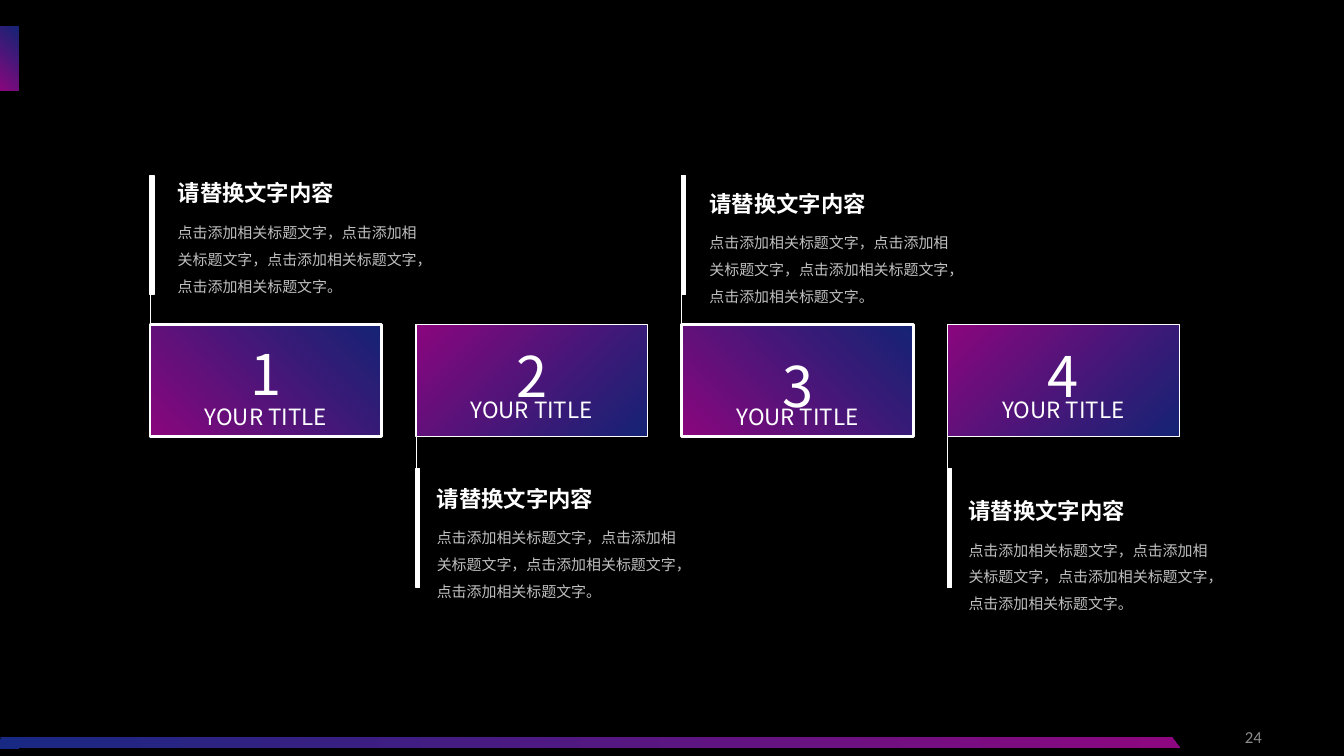
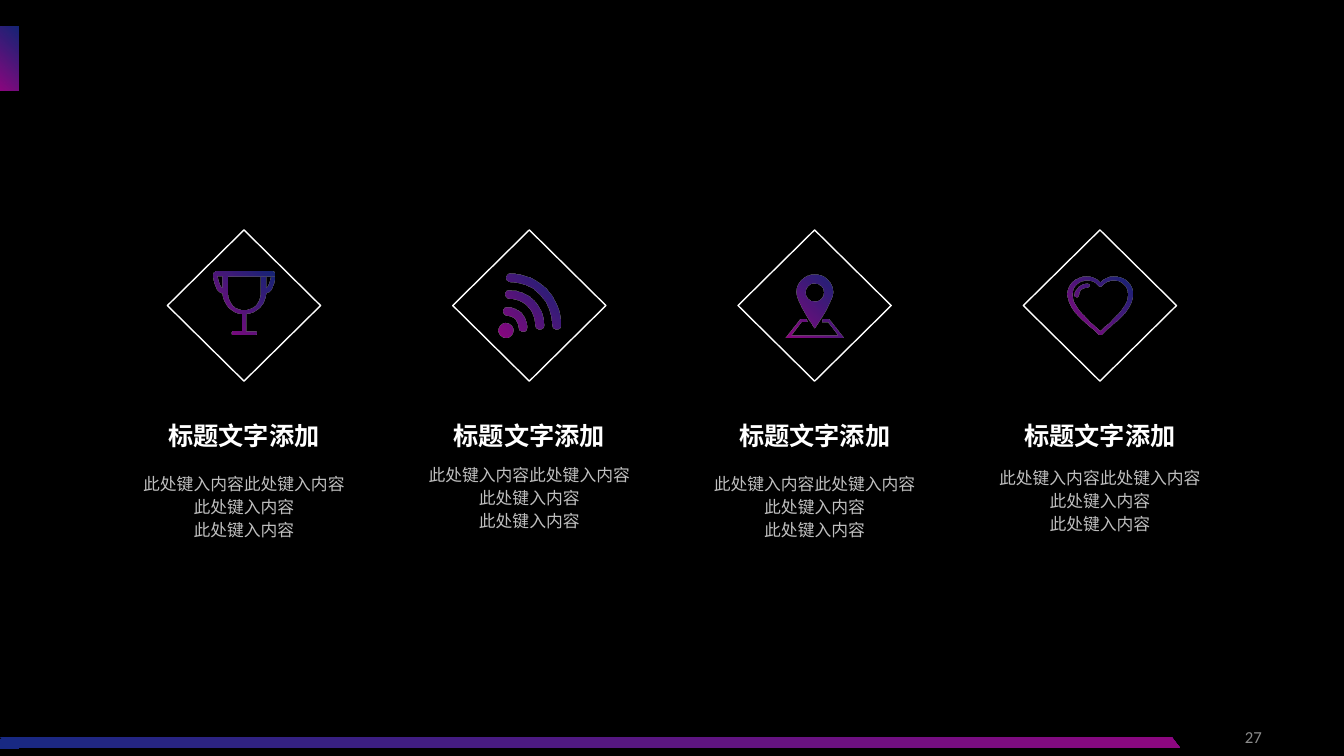
from math import cos, radians, sin

from lxml.etree import SubElement
from pptx import Presentation
from pptx.dml.color import RGBColor
from pptx.enum.shapes import MSO_CONNECTOR as Connector, MSO_SHAPE as Shape
from pptx.enum.text import MSO_ANCHOR as Anchor, PP_ALIGN as Align
from pptx.oxml.ns import qn
from pptx.util import Cm, Pt

BLACK, WHITE, SILVER, GRAY = "000000", "FFFFFF", "BFBFBF", "8C8C8C"
BLUE, MAGENTA = "182983", "8D0780"
CJK_FONT = "Noto Sans CJK SC"
BLUE_TOP_RIGHT, BLUE_BOTTOM_RIGHT = 225, 135  # counter-clockwise degrees

CARD_LEFT, CARD_PITCH, CARD_TOP = 3.78, 6.7, 8.18
CARD_WIDTH, CARD_HEIGHT = 5.84, 2.82
BAR_WIDTH, BAR_HEIGHT = 0.1, 3
CARD_STYLES = (  # upper callouts, then lower ones
    {"angle": BLUE_TOP_RIGHT, "border": 2, "spacing": 1.3, "title_height": 1.09,
     "bar_top": 4.42, "line_start": 4.42, "line_end": 10.98, "text_offset": 0.7},
    {"angle": BLUE_BOTTOM_RIGHT, "border": 1, "spacing": 1, "title_height": 0.94,
     "bar_top": 11.81, "line_start": 14.81, "line_end": 8.18, "text_offset": 0.53},
)
CARDS = (  # number, top of number, top of callout text
    ("1", 8.18, 4.39), ("2", 8.46, 12.09), ("3", 8.46, 4.65), ("4", 8.46, 12.4),
)
CALLOUT_TITLE = "请替换文字内容"
CALLOUT_BODY = "点击添加相关标题文字，" * 3 + "点击添加相关标题文字。"

COLUMN_CENTRE, COLUMN_PITCH, DIAMOND_MIDDLE = 6.15, 7.19, 7.7
DIAMOND_WIDTH, DIAMOND_HEIGHT = 3.86, 3.81
COLUMN_TITLE = "标题文字添加"
COLUMN_LINES = ("此处键入内容此处键入内容", "此处键入内容", "此处键入内容")
COLUMN_BODY_TOPS = (11.86, 11.63, 11.86, 11.71)
ICON_UNIT = 0.0254  # cm
QUARTER_HANDLE = 0.55  # handle length of a quarter circle, in radii


def rgb(colour):
    return RGBColor.from_string(colour)


def set_format(target, formats):
    for name, value in formats.items():
        setattr(target, name, value)


def fill_gradient(shape, angle, opacity=90):
    """Fill from blue, at the given opacity, to magenta."""
    shape.fill.gradient()
    shape.fill.gradient_angle = angle
    for stop, colour in zip(shape.fill.gradient_stops, (BLUE, MAGENTA)):
        stop.color.rgb = rgb(colour)
    first_colour = shape.element.spPr.find(".//" + qn("a:srgbClr"))
    SubElement(first_colour, qn("a:alpha"), val=str(opacity * 1000))


def set_line(shape, width):
    """Draw a white outline, or none for width 0."""
    if width:
        shape.line.color.rgb = rgb(WHITE)
        shape.line.width = Pt(width)
    else:
        shape.line.fill.background()


def add_preset(slide, kind, box, fill=None, border=0):
    shape = slide.shapes.add_shape(kind, *map(Cm, box))
    shape.shadow.inherit = False
    if fill is None:
        shape.fill.background()
    elif isinstance(fill, str):
        shape.fill.solid()
        shape.fill.fore_color.rgb = rgb(fill)
    else:
        fill_gradient(shape, fill)
    set_line(shape, border)
    return shape


def add_text(slide, box, lines, size, colour=WHITE, bold=False, align=Align.LEFT,
             spacing=1.0, anchor=Anchor.TOP, font_name=CJK_FONT):
    frame = slide.shapes.add_textbox(*map(Cm, box)).text_frame
    set_format(frame, {"word_wrap": True, "vertical_anchor": anchor,
                       "margin_left": 0, "margin_right": 0,
                       "margin_top": 0, "margin_bottom": 0})
    for index, line in enumerate(lines):
        paragraph = frame.paragraphs[0] if index == 0 else frame.add_paragraph()
        set_format(paragraph, {"alignment": align, "line_spacing": float(spacing)})
        run = paragraph.add_run()
        run.text = line
        set_format(run.font, {"name": font_name, "size": Pt(size), "bold": bold})
        run.font.color.rgb = rgb(colour)
        SubElement(run.font._element, qn("a:ea"), typeface=font_name)


def add_vertical_line(slide, x, start, end):
    line = slide.shapes.add_connector(Connector.STRAIGHT, Cm(x), Cm(start), Cm(x), Cm(end))
    set_line(line, 0.5)
    SubElement(line.element.spPr, qn("a:effectLst"))


def trace(outline):
    """Split into segments: one point for a line, three for a cubic curve."""
    segments = []
    for segment in outline.split(","):
        numbers = [float(number) for number in segment.split()]
        segments.append(list(zip(numbers[::2], numbers[1::2])))
    return segments


def mirror(segments):
    return [[(-x, y) for x, y in segment] for segment in segments]


def symmetric(outline):
    """Complete a half outline that starts and ends on the vertical axis."""
    half = trace(outline)
    points = [point for segment in mirror(half) for point in segment][::-1]
    remaining = iter(points[1:])
    other_half = [[next(remaining) for _ in segment] for segment in half[:0:-1]]
    return half + other_half


def arc(x, y, radius, start=0, quarters=4, turn=1):
    segments = [[(x + radius * cos(radians(start)), y + radius * sin(radians(start)))]]
    handle = QUARTER_HANDLE * radius * turn
    for quarter in range(quarters):
        first = radians(start + 90 * turn * quarter)
        last = first + radians(90 * turn)
        x1, y1 = x + radius * cos(first), y + radius * sin(first)
        x2, y2 = x + radius * cos(last), y + radius * sin(last)
        segments.append([(x1 - handle * sin(first), y1 + handle * cos(first)),
                         (x2 + handle * sin(last), y2 - handle * cos(last)), (x2, y2)])
    return segments


def wave(x, y, radius, half=4.25):
    """Quarter ring with round ends."""
    return (arc(x, y, radius + half, -90, 1) + arc(x + radius, y, half, 0, 2)[1:]
            + arc(x, y, radius - half, 0, 1, -1)[1:] + arc(x, y - radius, half, 90, 2)[1:])


def trophy():
    handle = trace("-21 -17, -24 -19 -25 -26 -26 -29, -21 -29")
    cup = symmetric("0 -34, -28 -34, -29 -34 -30 -33 -30 -31, -30 -31 -30 -14 -21 -12,"
                    "-20 -1 -12 7 -2 8, -2 25, -10 25, -11 25 -12 25 -12 26, -12 28,"
                    "-12 29 -11 29 -10 29, 0 29")
    bowl = symmetric("0 -29, -16 -29, -16 -12, -16 -3 -9 4 0 4")
    return [cup, bowl, handle, mirror(handle)]


def signal():
    return [arc(-23.5, 24, 7.5), wave(-22, 21, 15.5), wave(-20, 19, 30), wave(-19, 19, 46)]


def map_pin():
    sheet = symmetric("0 32, -29 32, -14 13, -8 13, -8 14 -7 15 -7 16, -13 16, -23 29, 0 29")
    # The sheet is open at the top, so its inner edge returns along the axis.
    drop = symmetric("0 -31, -10 -31 -18 -23 -18 -13, -18 -4 0 22 0 22")
    return [sheet, arc(0, -13, 9), drop]


def heart():
    shine = trace("-12 -22, -11 -22 -10 -21 -10 -20, -10 -19 -11 -18 -12 -18,"
                  "-17 -18 -21 -15 -21 -10, -21 -9 -22 -8 -23 -8,"
                  "-24 -8 -25 -9 -25 -10, -25 -17 -19 -22 -12 -22")
    inner = symmetric("0 -19, -1 -19 -1 -19 -2 -20, -4 -23 -9 -25 -13 -25,"
                      "-21 -25 -27 -19 -27 -11, -27 -1 -19 8 -3 22, 0 25")
    outer = symmetric("0 -23, -3 -27 -8 -29 -13 -29, -24 -29 -32 -21 -32 -11,"
                      "-32 -5 -29 0 -24 7, -20 12 -14 17 -6 24, -1 29, 0 29")
    return [shine, inner, outer]


def bend_lines(shape, contours):
    """Join the three lines that stand for each cubic curve."""
    lines = iter(list(shape.element.iter(qn("a:lnTo"))))
    for contour in contours:
        for segment in contour[1:]:
            line = next(lines)
            if len(segment) == 3:
                line.tag = qn("a:cubicBezTo")
                for extra in (next(lines), next(lines)):
                    line.append(extra[0])
                    extra.getparent().remove(extra)


def add_icon(slide, contours, centre, middle):
    placed = [[(Cm(centre + x * ICON_UNIT), Cm(middle + y * ICON_UNIT))
               for segment in contour for x, y in segment] for contour in contours]
    builder = slide.shapes.build_freeform(*placed[0][0])
    for index, points in enumerate(placed):
        if index:
            builder.move_to(*points[0])
        builder.add_line_segments(points[1:], close=True)
    icon = builder.convert_to_shape()
    bend_lines(icon, contours)
    icon.shadow.inherit = False
    fill_gradient(icon, BLUE_TOP_RIGHT)
    set_line(icon, 0)


def decorate_layout(layout, slide):
    """Draw the shared bands on the slide and move them to its layout."""
    for placeholder in list(layout.placeholders):
        layout.shapes.element.remove(placeholder.element)
    tab = add_preset(slide, Shape.RECTANGLE, (0, 0.68, 0.46, 1.6), BLUE_TOP_RIGHT)
    band = add_preset(slide, Shape.PARALLELOGRAM, (0, 18.57, 29.74, 0.28))
    band.adjustments[0] = 0.775
    band.element.spPr.xfrm.set("flipH", "1")
    fill_gradient(band, 180, opacity=100)
    corner = add_preset(slide, Shape.RECTANGLE, (0, 18.62, 0.48, 0.25), BLUE)
    for shape in (tab, band, corner):
        layout.shapes.element.append(shape.element)


def add_page_number(slide, number):
    add_text(slide, (24.43, 18.06, 7.37, 1.02), [number], 12, GRAY, align=Align.RIGHT,
             anchor=Anchor.MIDDLE, font_name="Calibri")


def add_card(slide, left, number, number_top, text_top, style):
    add_vertical_line(slide, left, style["line_start"], style["line_end"])
    add_preset(slide, Shape.RECTANGLE, (left, style["bar_top"], BAR_WIDTH, BAR_HEIGHT),
               WHITE, border=1)
    add_preset(slide, Shape.RECTANGLE, (left, CARD_TOP, CARD_WIDTH, CARD_HEIGHT),
               style["angle"], style["border"])
    label = {"align": Align.CENTER, "anchor": Anchor.MIDDLE, "spacing": style["spacing"]}
    add_text(slide, (left, 9.86, CARD_WIDTH, style["title_height"]), ["YOUR TITLE"], 16, **label)
    add_text(slide, (left, number_top, CARD_WIDTH, 1.96), [number], 40, **label)
    text_left = left + style["text_offset"]
    add_text(slide, (text_left, text_top, 7, 0.94), [CALLOUT_TITLE], 16, bold=True,
             anchor=Anchor.MIDDLE)
    add_text(slide, (text_left, text_top + 1.01, 6.05, 1.52), [CALLOUT_BODY], 10.7, SILVER,
             spacing=1.5)


def add_column(slide, centre, contours, body_top):
    add_preset(slide, Shape.DIAMOND,
               (centre - DIAMOND_WIDTH / 2, DIAMOND_MIDDLE - DIAMOND_HEIGHT / 2,
                DIAMOND_WIDTH, DIAMOND_HEIGHT), border=1)
    add_icon(slide, contours, centre, DIAMOND_MIDDLE)
    add_text(slide, (centre - 3.1, 10.44, 6.2, 0.9), [COLUMN_TITLE], 18, bold=True,
             align=Align.CENTER, spacing=1.2)
    add_text(slide, (centre - 3.1, body_top, 6.2, 2.3), COLUMN_LINES, 12, SILVER,
             align=Align.CENTER, spacing=1.14)


def main():
    presentation = Presentation()
    set_format(presentation, {"slide_width": Cm(33.87), "slide_height": Cm(19.05)})
    background = presentation.slide_master.background.fill
    background.solid()
    background.fore_color.rgb = rgb(BLACK)
    layout = presentation.slide_layouts[6]

    cards_slide = presentation.slides.add_slide(layout)
    decorate_layout(layout, cards_slide)
    add_page_number(cards_slide, "24")
    for index, card in enumerate(CARDS):
        add_card(cards_slide, CARD_LEFT + index * CARD_PITCH, *card, CARD_STYLES[index % 2])

    icons_slide = presentation.slides.add_slide(layout)
    add_page_number(icons_slide, "27")
    icons = (trophy(), signal(), map_pin(), heart())
    for index, (icon, body_top) in enumerate(zip(icons, COLUMN_BODY_TOPS)):
        add_column(icons_slide, COLUMN_CENTRE + index * COLUMN_PITCH, icon, body_top)

    presentation.save("out.pptx")


if __name__ == "__main__":
    main()
